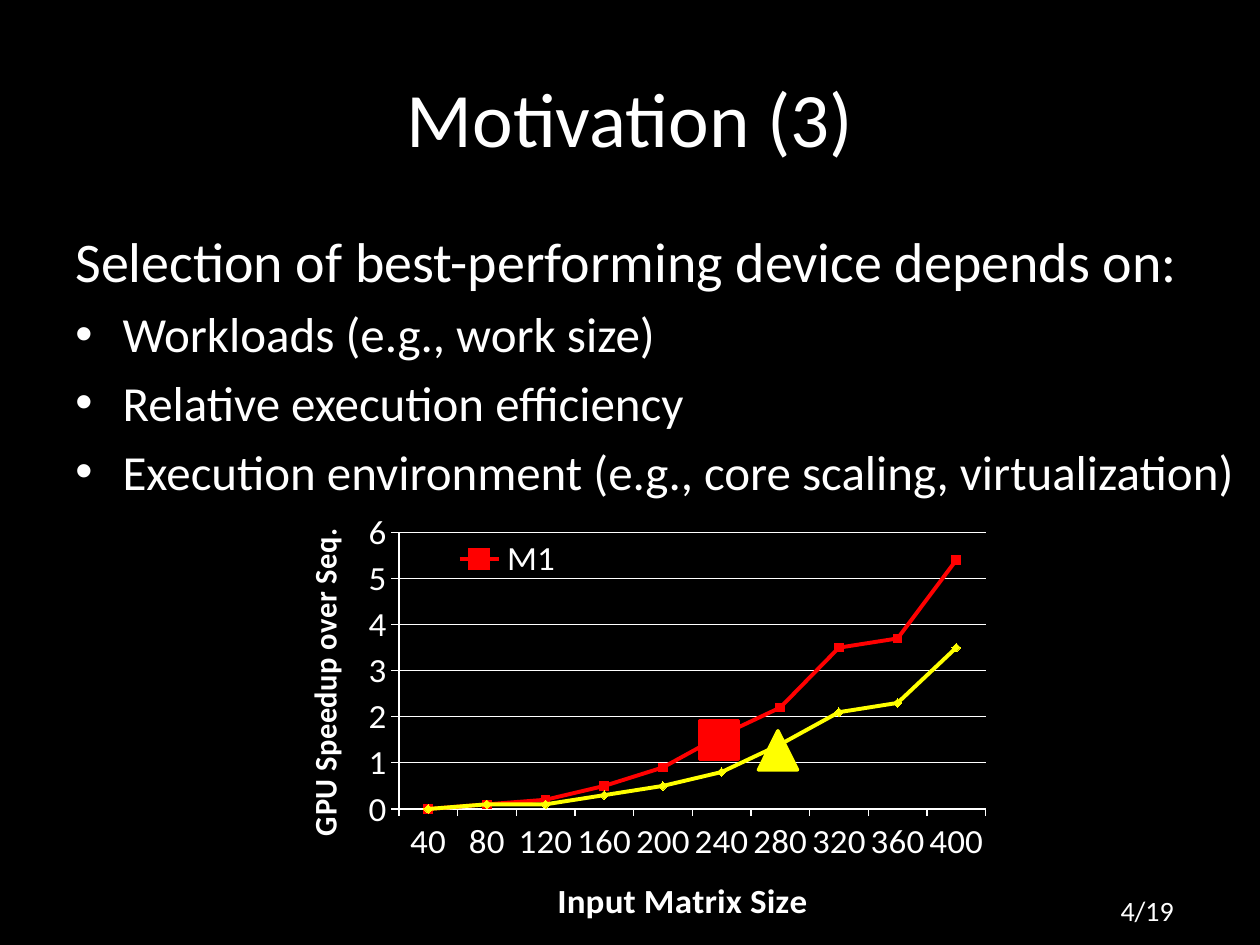
from lxml.etree import SubElement
from pptx import Presentation
from pptx.chart.data import CategoryChartData
from pptx.dml.color import RGBColor
from pptx.enum.chart import XL_CHART_TYPE, XL_LEGEND_POSITION, XL_MARKER_STYLE, XL_TICK_MARK
from pptx.enum.shapes import MSO_SHAPE
from pptx.enum.text import MSO_ANCHOR, PP_ALIGN
from pptx.oxml import parse_xml
from pptx.oxml.ns import nsdecls, qn
from pptx.util import Pt

COLORS = {"background": "000000", "text": "FFFFFF", "M1": "FF0000", "M2": "FFFF00"}
FONT = "Calibri"
SIZES = [40 * step for step in range(1, 11)]
SPEEDUPS = {
    "M1": [0, 0.1, 0.2, 0.5, 0.9, 1.6, 2.2, 3.5, 3.7, 5.4],
    "M2": [0, 0.1, 0.1, 0.3, 0.5, 0.8, 1.4, 2.1, 2.3, 3.5],
}
FACTORS = [
    "Workloads (e.g., work size)",
    "Relative execution efficiency",
    "Execution environment (e.g., core scaling, virtualization)",
]


def color(name):
    return RGBColor.from_string(COLORS[name])


def style_font(font, size, bold=False):
    font.name, font.size, font.bold = FONT, Pt(size), bold
    font.color.rgb = color("text")


def write(paragraph, text, size, align=PP_ALIGN.LEFT, bullet=False, before=0):
    run = paragraph.add_run()
    run.text = text
    style_font(run.font, size)
    paragraph.alignment = align
    paragraph.space_before = Pt(before)
    if bullet:
        properties = paragraph._p.get_or_add_pPr()
        properties.set("marL", str(Pt(27)))
        properties.set("indent", str(Pt(-27)))
        SubElement(properties, qn("a:buFont"), typeface="Arial")
        SubElement(properties, qn("a:buChar"), char="•")


def set_layout(element, x, y, width=None, height=None, inner=False):
    """Place a chart part at fractions of the chart's size."""
    values = {"x": x, "y": y, "w": width, "h": height}
    parts = ['<c:layoutTarget val="inner"/>'] if inner else []
    parts += ['<c:xMode val="edge"/><c:yMode val="edge"/>']
    parts += [f'<c:{key} val="{value}"/>' for key, value in values.items() if value is not None]
    for old in element.findall(qn("c:layout")):
        element.remove(old)
    layout = parse_xml(
        f'<c:layout {nsdecls("c")}><c:manualLayout>{"".join(parts)}</c:manualLayout></c:layout>'
    )
    following = [qn("c:legendPos"), qn("c:legendEntry"), qn("c:tx")]
    position = sum(child.tag in following for child in element)
    element.insert(position, layout)


class SlideBuilder:
    def __init__(self, presentation):
        self.slide = presentation.slides.add_slide(presentation.slide_layouts[6])
        fill = self.slide.background.fill
        fill.solid()
        fill.fore_color.rgb = color("background")

    def text_box(self, left, top, width, height, anchor=MSO_ANCHOR.TOP):
        box = self.slide.shapes.add_textbox(Pt(left), Pt(top), Pt(width), Pt(height))
        frame = box.text_frame
        frame.word_wrap = True
        frame.vertical_anchor = anchor
        return frame

    def highlight(self, preset, left, top, size, series_name):
        shape = self.slide.shapes.add_shape(preset, Pt(left), Pt(top), Pt(size), Pt(size))
        shape.shadow.inherit = False
        shape.fill.solid()
        shape.fill.fore_color.rgb = color(series_name)
        shape.line.color.rgb = color(series_name)
        shape.line.width = Pt(2)

    def style_axis(self, axis, title, title_size):
        axis.major_tick_mark = XL_TICK_MARK.OUTSIDE
        axis.minor_tick_mark = XL_TICK_MARK.NONE
        axis.format.line.color.rgb = color("text")
        axis.format.line.width = Pt(0.75)
        style_font(axis.tick_labels.font, 20)
        run = axis.axis_title.text_frame.paragraphs[0].add_run()
        run.text = title
        style_font(run.font, title_size, bold=True)

    def style_series(self, series, marker_style):
        series.smooth = False
        series.format.line.color.rgb = color(series.name)
        series.format.line.width = Pt(2.25)
        series.marker.style = marker_style
        series.marker.size = 5
        series.marker.format.fill.solid()
        series.marker.format.fill.fore_color.rgb = color(series.name)
        series.marker.format.line.color.rgb = color(series.name)

    def speedup_chart(self, left, top, width, height):
        data = CategoryChartData()
        data.categories = [str(size) for size in SIZES]
        for name, values in SPEEDUPS.items():
            data.add_series(name, values)
        chart = self.slide.shapes.add_chart(
            XL_CHART_TYPE.LINE_MARKERS, Pt(left), Pt(top), Pt(width), Pt(height), data
        ).chart
        chart.has_title = False
        style_font(chart.font, 20)
        plot = chart.plots[0]
        plot.vary_by_categories = False
        for series, marker in zip(plot.series, (XL_MARKER_STYLE.SQUARE, XL_MARKER_STYLE.DIAMOND)):
            self.style_series(series, marker)

        self.style_axis(chart.category_axis, "Input Matrix Size", 20)
        axis = chart.value_axis
        self.style_axis(axis, "GPU Speedup over Seq.", 18)
        axis.minimum_scale, axis.maximum_scale, axis.major_unit = 0, 6, 1
        axis.tick_labels.number_format = "0"
        axis.tick_labels.number_format_is_linked = False
        axis.major_gridlines.format.line.color.rgb = color("text")
        axis.major_gridlines.format.line.width = Pt(0.75)

        chart.has_legend = True
        legend = chart.legend
        legend.position = XL_LEGEND_POSITION.TOP
        legend.include_in_layout = True
        style_font(legend.font, 20)
        hidden_entry = parse_xml(
            f'<c:legendEntry {nsdecls("c")}><c:idx val="1"/><c:delete val="1"/></c:legendEntry>'
        )
        legend._element.insert(1, hidden_entry)
        set_layout(legend._element, 0.25, 0.06, 0.16, 0.11)
        set_layout(chart._chartSpace.chart.plotArea, 0.18, 0.05, 0.81, 0.68, inner=True)
        set_layout(chart.category_axis.axis_title._element, 0.39, 0.88)


def main():
    presentation = Presentation()
    presentation.slide_width, presentation.slide_height = Pt(720), Pt(540)
    builder = SlideBuilder(presentation)

    title = builder.text_box(36, 21.6, 648, 90, anchor=MSO_ANCHOR.MIDDLE)
    write(title.paragraphs[0], "Motivation (3)", 44, align=PP_ALIGN.CENTER)

    body = builder.text_box(36, 126, 684, 356.4)
    write(body.paragraphs[0], "Selection of best-performing device depends on:", 32)
    for factor in FACTORS:
        write(body.add_paragraph(), factor, 28, bullet=True, before=5.6)

    page = builder.text_box(591, 507, 129, 26.6)
    write(page.paragraphs[0], "4/19", 16, align=PP_ALIGN.CENTER)

    builder.speedup_chart(153.4, 292.3, 414, 240.5)
    builder.highlight(MSO_SHAPE.RECTANGLE, 399.6, 411.8, 22.3, "M1")
    builder.highlight(MSO_SHAPE.ISOSCELES_TRIANGLE, 433.4, 417.6, 22.3, "M2")
    presentation.save("out.pptx")


if __name__ == "__main__":
    main()
